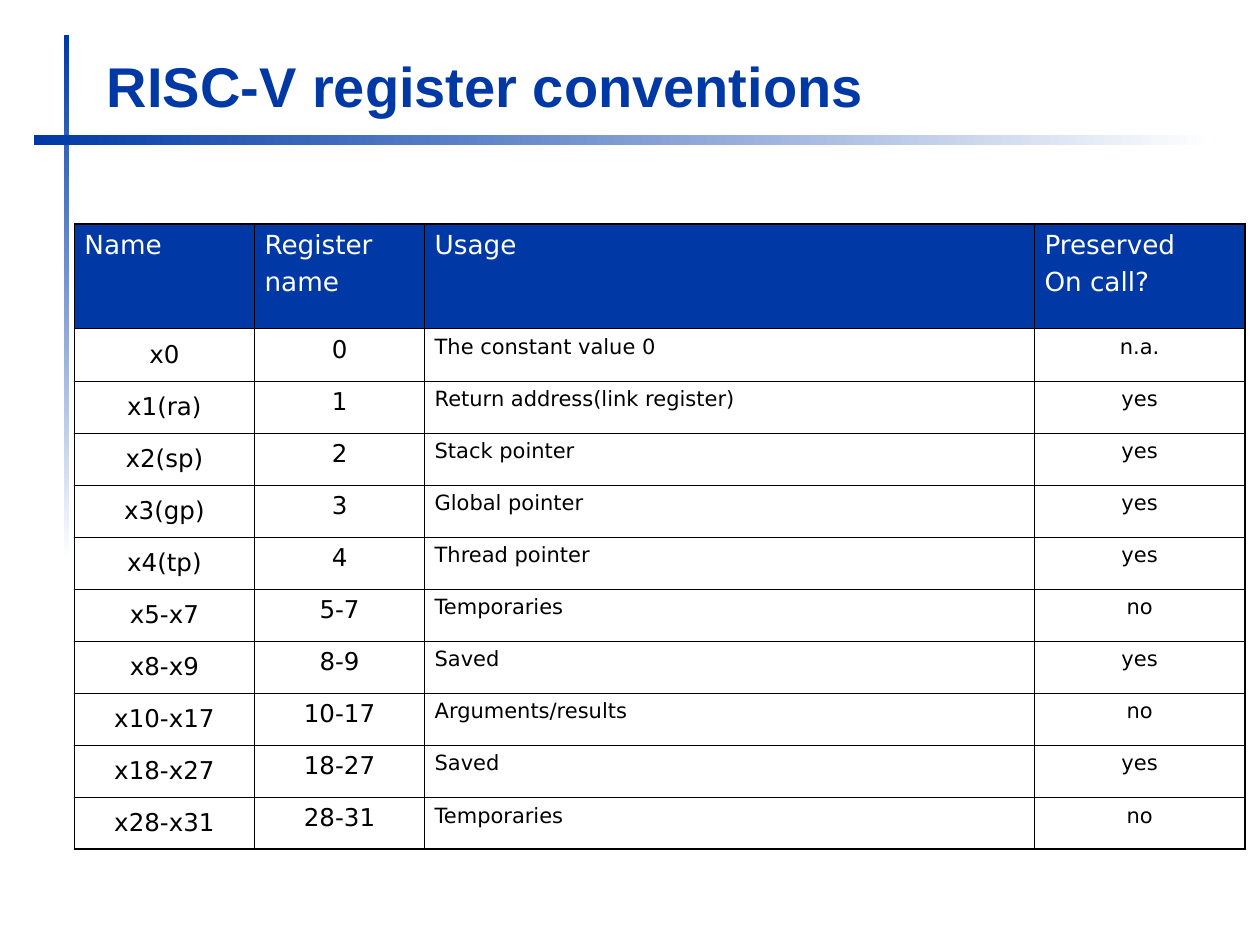
from lxml.etree import SubElement
from pptx import Presentation
from pptx.dml.color import RGBColor
from pptx.enum.shapes import MSO_SHAPE
from pptx.enum.text import MSO_ANCHOR, PP_ALIGN
from pptx.oxml.ns import qn
from pptx.util import Inches, Pt

BLUE, WHITE, BLACK = "0039A6", "FFFFFF", "000000"
THIN, THICK = 0.45, 1.08


def rgb(code):
    return RGBColor.from_string(code)


def add_border(cell, side, width):
    """Draw one black cell edge; side is L, R, T or B, width is in points."""
    line = SubElement(cell._tc.get_or_add_tcPr(), qn(f"a:ln{side}"), w=str(Pt(width)))
    fill = SubElement(line, qn("a:solidFill"))
    SubElement(fill, qn("a:srgbClr"), val=BLACK)


prs = Presentation()
prs.slide_width, prs.slide_height = Inches(10), Inches(7.5)
slide = prs.slides.add_slide(prs.slide_layouts[6])

# Fading rules: (left, top, width, height), counter-clockwise gradient angle
for box, angle in [((0.51, 0.28, 0.04, 4.17), 270), ((0.27, 1.07, 9.37, 0.08), 0)]:
    rule = slide.shapes.add_shape(MSO_SHAPE.RECTANGLE, *map(Inches, box))
    rule.shadow.inherit = False
    rule.line.fill.background()
    rule.fill.gradient()
    rule.fill.gradient_angle = angle
    for stop, color in zip(rule.fill.gradient_stops, (BLUE, WHITE)):
        stop.color.rgb = rgb(color)

title = slide.shapes.add_textbox(Inches(0.75), Inches(0.35), Inches(9.03), Inches(0.64))
title.text_frame.word_wrap = True
title.text_frame.vertical_anchor = MSO_ANCHOR.BOTTOM
heading = title.text_frame.paragraphs[0]
heading.text = "RISC-V register conventions"
heading.font.name, heading.font.size, heading.font.bold = "Arial", Pt(32), True
heading.font.color.rgb = rgb(BLUE)

rows = [
    ("Name", "Register\nname", "Usage", "Preserved\nOn call?"),
    ("x0", "0", "The constant value 0", "n.a."),
    ("x1(ra)", "1", "Return address(link register)", "yes"),
    ("x2(sp)", "2", "Stack pointer", "yes"),
    ("x3(gp)", "3", "Global pointer", "yes"),
    ("x4(tp)", "4", "Thread pointer", "yes"),
    ("x5-x7", "5-7", "Temporaries", "no"),
    ("x8-x9", "8-9", "Saved", "yes"),
    ("x10-x17", "10-17", "Arguments/results", "no"),
    ("x18-x27", "18-27", "Saved", "yes"),
    ("x28-x31", "28-31", "Temporaries", "no"),
]
column_widths = [1.43, 1.35, 4.84, 1.67]
body_sizes = [14, 14, 12, 12]
body_aligns = [PP_ALIGN.CENTER, PP_ALIGN.CENTER, PP_ALIGN.LEFT, PP_ALIGN.CENTER]
table_height, header_height = 4.96, 0.83
body_height = (table_height - header_height) / (len(rows) - 1)
last_row, last_col = len(rows) - 1, len(column_widths) - 1

registers = slide.shapes.add_table(
    len(rows), len(column_widths), Inches(0.59), Inches(1.78),
    Inches(sum(column_widths)), Inches(table_height)).table
registers.first_row = registers.horz_banding = False
for column, width in zip(registers.columns, column_widths):
    column.width = Inches(width)

for r, row in enumerate(rows):
    header = r == 0
    registers.rows[r].height = Inches(header_height if header else body_height)
    for c, text in enumerate(row):
        cell = registers.cell(r, c)
        centered_name = c == 0 and not header
        cell.margin_left = cell.margin_right = Inches(0.07 if centered_name else 0.08)
        cell.margin_top = cell.margin_bottom = Inches(0.05)
        cell.vertical_anchor = MSO_ANCHOR.MIDDLE if centered_name else MSO_ANCHOR.TOP

        outer_edges = {"L": c == 0, "R": c == last_col, "T": header, "B": r == last_row}
        for side, outer in outer_edges.items():
            add_border(cell, side, THICK if outer else THIN)
        if header:
            cell.fill.solid()
            cell.fill.fore_color.rgb = rgb(BLUE)
        else:
            cell.fill.background()

        size = 15 if header else body_sizes[c]
        cell.text = text
        for paragraph in cell.text_frame.paragraphs:
            paragraph.alignment = PP_ALIGN.LEFT if header else body_aligns[c]
            paragraph.space_before = Pt(size / 4)
            paragraph.font.name, paragraph.font.size = "DejaVu Sans", Pt(size)
            paragraph.font.color.rgb = rgb(WHITE if header else BLACK)

prs.save("out.pptx")
